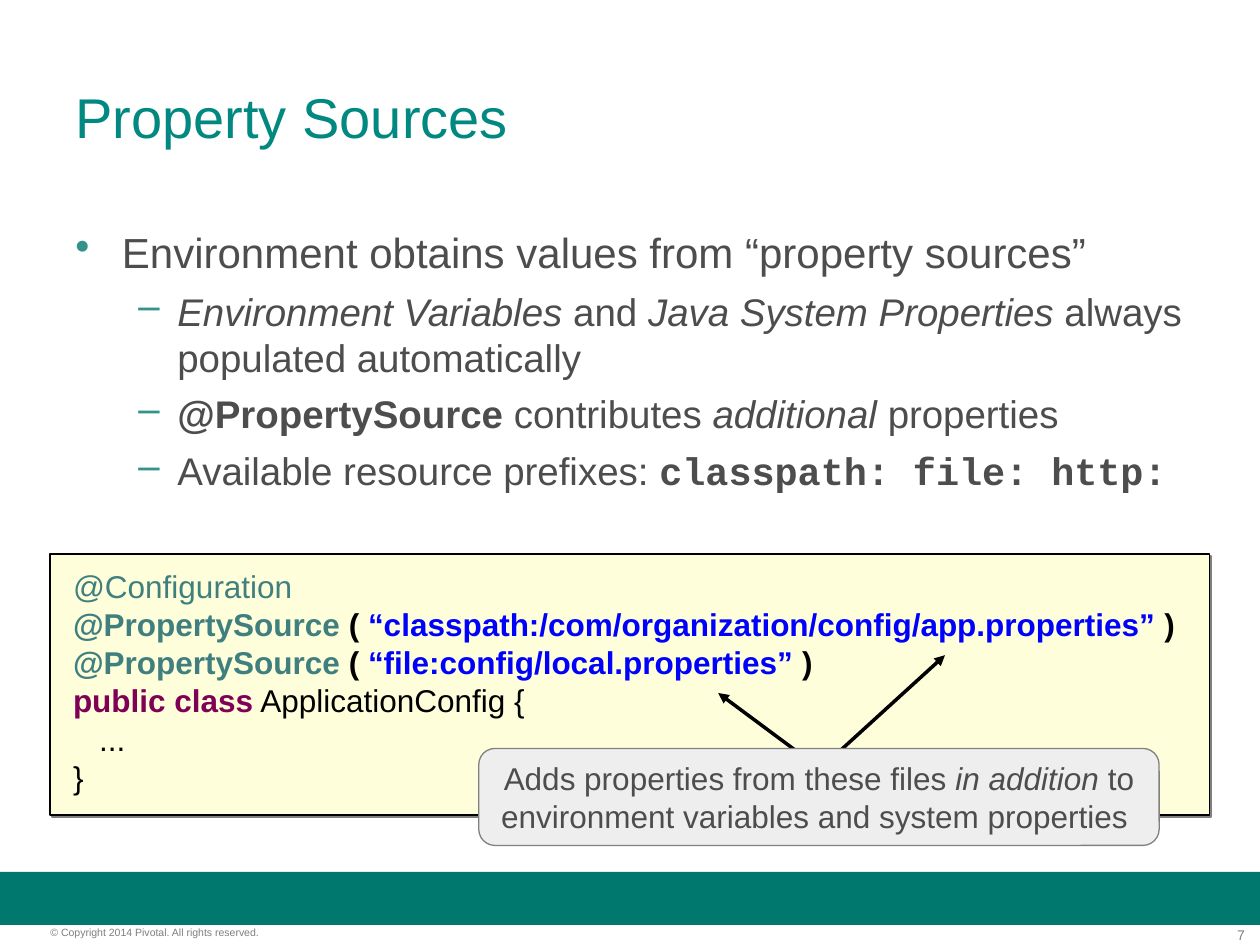
from dataclasses import dataclass

from lxml.etree import SubElement
from pptx import Presentation
from pptx.dml.color import RGBColor
from pptx.enum.shapes import MSO_CONNECTOR, MSO_SHAPE
from pptx.enum.text import MSO_ANCHOR, PP_ALIGN
from pptx.oxml import parse_xml
from pptx.oxml.ns import nsdecls, qn
from pptx.util import Inches, Pt


@dataclass(frozen=True)
class Theme:
    font: str = "Arial"
    code_font: str = "Courier New"
    title: str = "008881"
    band: str = "00786E"
    bullet: str = "33928A"
    text: str = "4D4D4D"
    footer: str = "7F7F7F"
    black: str = "000000"
    grey: str = "808080"
    code_fill: str = "FEFFDA"
    note_fill: str = "EEEEEE"
    annotation: str = "3F7F7F"
    string: str = "0000FF"
    keyword: str = "7F0055"
    title_size: int = 32
    body_size: int = 24
    sub_size: int = 22
    code_size: int = 18
    page_number_size: int = 8
    copyright_size: int = 6


THEME = Theme()


def rgb(color):
    return RGBColor.from_string(color)


class SlideBuilder:
    def __init__(self, page, theme):
        self.page = page
        self.theme = theme

    def text(self, left, top, width, height, margin=(0.1, 0.05)):
        box = self.page.shapes.add_textbox(
            Inches(left), Inches(top), Inches(width), Inches(height))
        self.frame(box, *margin)
        return box.text_frame

    def frame(self, box, side, edge, left=None):
        frame = box.text_frame
        frame.word_wrap = True
        frame.margin_left = Inches(side if left is None else left)
        frame.margin_right = Inches(side)
        frame.margin_top = frame.margin_bottom = Inches(edge)

    def shape(self, kind, left, top, width, height, fill, line=None, line_width=0):
        box = self.page.shapes.add_shape(
            kind, Inches(left), Inches(top), Inches(width), Inches(height))
        box.shadow.inherit = False
        box.fill.solid()
        box.fill.fore_color.rgb = rgb(fill)
        if line:
            box.line.color.rgb = rgb(line)
            box.line.width = Pt(line_width)
        else:
            box.line.fill.background()
        box.text_frame.vertical_anchor = MSO_ANCHOR.MIDDLE
        return box

    def drop_shadow(self, box):
        effects = box._element.spPr.find(qn("a:effectLst"))
        effects.append(parse_xml(
            f'<a:outerShdw {nsdecls("a")} dist="{Pt(1.4)}" dir="2700000" algn="ctr" '
            f'rotWithShape="0"><a:srgbClr val="{self.theme.grey}"/></a:outerShdw>'))

    def arrow(self, start, end):
        line = self.page.shapes.add_connector(
            MSO_CONNECTOR.STRAIGHT, *map(Inches, start + end))
        line.line.color.rgb = rgb(self.theme.black)
        line.line.width = Pt(0)
        SubElement(line.line._get_or_add_ln(), qn("a:tailEnd"), type="triangle")
        SubElement(line._element.spPr, qn("a:effectLst"))

    def paragraph(self, frame, spans, size, color, align=PP_ALIGN.LEFT,
                  before=0, spacing=None, bullet=None, indent=None, level=0):
        """Add a paragraph; each span is a text and a dict of its own font settings."""
        first = not frame.paragraphs[0].runs
        para = frame.paragraphs[0] if first else frame.add_paragraph()
        para.alignment = align
        para.level = level
        para.space_before = Pt(0 if first else before)
        if spacing:
            para.line_spacing = spacing
        properties = para._p.get_or_add_pPr()
        if indent:
            margin, hanging = indent
            properties.set("marL", str(Inches(margin)))
            properties.set("indent", str(Inches(-hanging)))
        if bullet:
            bullet_color = SubElement(properties, qn("a:buClr"))
            SubElement(bullet_color, qn("a:srgbClr"), val=self.theme.bullet)
            SubElement(properties, qn("a:buChar"), char=bullet)
        para.font.size = Pt(size)
        para.font.name = self.theme.font
        para.font.color.rgb = rgb(color)
        for words, style in spans:
            span = para.add_run()
            span.text = words
            for name, value in style.items():
                if name == "color":
                    span.font.color.rgb = rgb(value)
                else:
                    setattr(span.font, name, value)


def add_frame(slide):
    slide.shape(MSO_SHAPE.RECTANGLE, 0, 6.92, 10, 0.42, THEME.band)
    number = slide.text(9.3, 7.35, 0.58, 0.13, (0, 0))
    slide.paragraph(number, [("7", {})], THEME.page_number_size, THEME.footer, PP_ALIGN.RIGHT)
    rights = slide.text(0.4, 7.35, 2.49, 0.1, (0, 0))
    slide.paragraph(rights, [("© Copyright 2014 Pivotal. All rights reserved.", {})],
                    THEME.copyright_size, THEME.footer)
    title = slide.text(0.5, 0.3, 9, 1.25)
    title.vertical_anchor = MSO_ANCHOR.MIDDLE
    slide.paragraph(title, [("Property Sources", {})], THEME.title_size, THEME.title)


def add_points(slide):
    bold, italic = {"bold": True}, {"italic": True}
    body = slide.text(0.5, 1.75, 9, 2.5)
    slide.paragraph(body, [("Environment obtains values from “property sources”", {})],
                    THEME.body_size, THEME.text, bullet="•", indent=(0.37, 0.37))
    points = [
        [("Environment Variables", italic), (" and ", {}),
         ("Java System Properties", italic), (" always populated automatically", {})],
        [("@PropertySource", bold), (" contributes ", {}),
         ("additional", italic), (" properties", {})],
        [("Available resource prefixes: ", {}),
         ("classpath: file: http:", {"bold": True, "name": THEME.code_font})],
    ]
    for spans in points:
        slide.paragraph(body, spans, THEME.sub_size, THEME.text, before=6,
                        bullet="–", indent=(0.81, 0.31), level=1)


def property_source(location):
    bold = {"bold": True}
    return [("@PropertySource", {"color": THEME.annotation, **bold}), (" ( ", bold),
            (f"“{location}”", {"color": THEME.string, **bold}), (" )", bold)]


def add_code(slide):
    box = slide.shape(MSO_SHAPE.RECTANGLE, 0.4, 4.4, 9.2, 2.07,
                      THEME.code_fill, THEME.black, 1)
    slide.drop_shadow(box)
    slide.frame(box, 0.1, 0.05, left=0.18)
    lines = [
        [("@Configuration", {"color": THEME.annotation})],
        property_source("classpath:/com/organization/config/app.properties"),
        property_source("file:config/local.properties"),
        [("public class", {"color": THEME.keyword, "bold": True}), (" ApplicationConfig {", {})],
        [("   ...", {})],
        [("}", {})],
    ]
    for spans in lines:
        slide.paragraph(box.text_frame, spans, THEME.code_size, THEME.black,
                        before=4.5, spacing=0.8, indent=(0.37, 0.37))


def add_note(slide):
    slide.arrow((6.6, 6.02), (7.5, 5.2))
    slide.arrow((6.4, 6.02), (5.7, 5.5))
    note = slide.shape(MSO_SHAPE.ROUNDED_RECTANGLE, 3.8, 5.94, 5.4, 0.77,
                       THEME.note_fill, THEME.grey)
    slide.frame(note, 0.1, 0.05)
    slide.paragraph(note.text_frame, [
        ("Adds properties from these files ", {}), ("in addition", {"italic": True}),
        (" to environment variables and system properties ", {}),
    ], THEME.code_size, THEME.text, PP_ALIGN.CENTER)


def main():
    deck = Presentation()
    deck.slide_width, deck.slide_height = Inches(10), Inches(7.5)
    slide = SlideBuilder(deck.slides.add_slide(deck.slide_layouts[6]), THEME)
    add_frame(slide)
    add_points(slide)
    add_code(slide)
    add_note(slide)
    deck.save("out.pptx")


if __name__ == "__main__":
    main()
